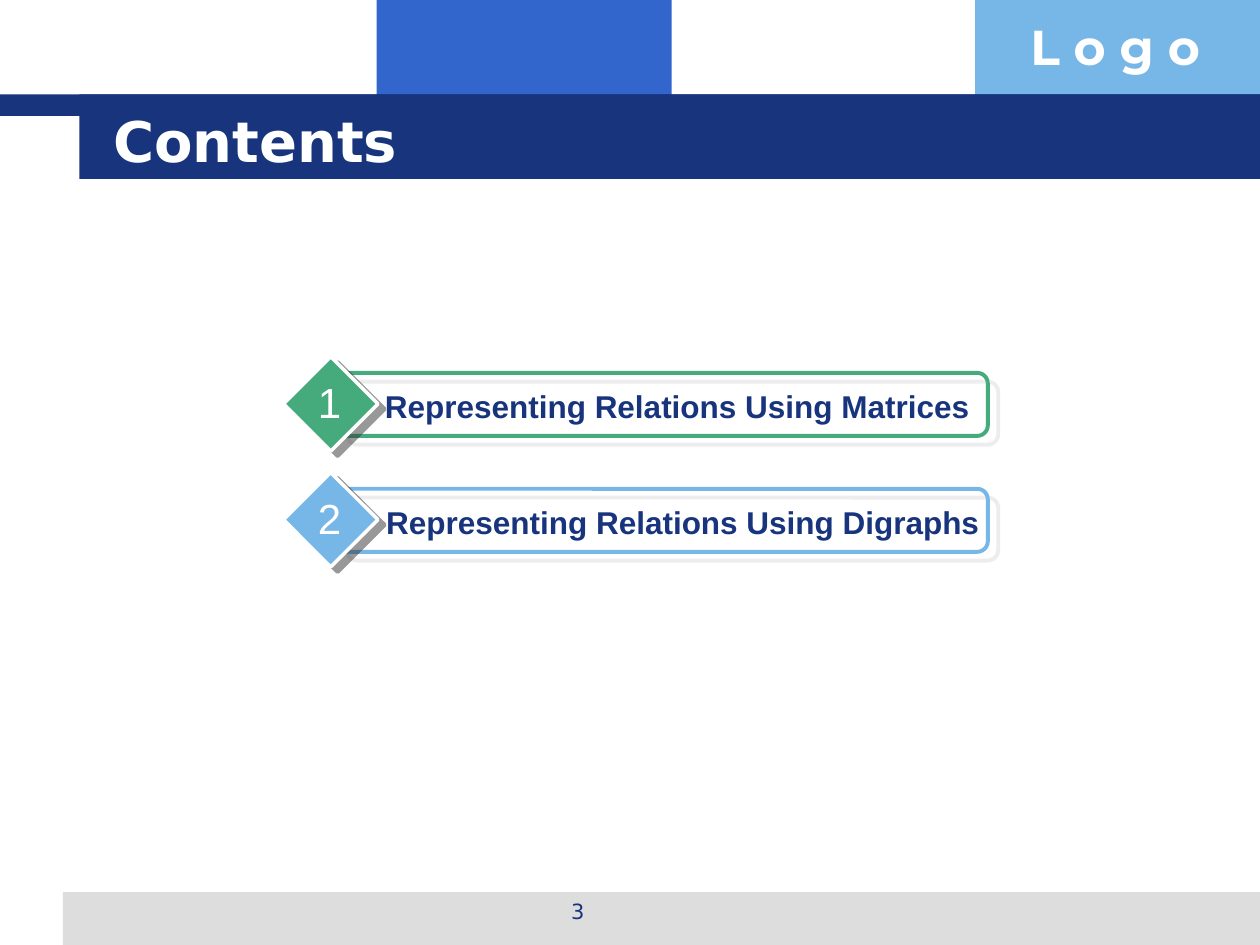
from pptx import Presentation
from pptx.dml.color import RGBColor
from pptx.enum import shapes, text
from pptx.oxml import parse_xml
from pptx.oxml import ns
from pptx.util import Inches, Pt

NAVY, BLUE, SKY = "17347D", "3366CC", "77B7E7"
GREEN, GREY, DARK, WHITE = "45AB7D", "DDDDDD", "333333", "FFFFFF"
ROW_TOP, ROW_PITCH = 2.83, 0.92
LABEL_RIGHT = 7.92

# color, left edge of the label, label
TOPICS = [
    (GREEN, 2.83, "Representing Relations Using Matrices"),
    (SKY, 2.92, "Representing Relations Using Digraphs"),
]


def rgb(color):
    return RGBColor.from_string(color)


def add_shape(slide, kind, box, fill=None, line=None, line_width=1):
    shape = slide.shapes.add_shape(kind, *map(Inches, box))
    shape.shadow.inherit = False
    if fill:
        shape.fill.solid()
        shape.fill.fore_color.rgb = rgb(fill)
    else:
        shape.fill.background()
    if line:
        shape.line.color.rgb = rgb(line)
        shape.line.width = Pt(line_width)
    else:
        shape.line.fill.background()
    return shape


def add_shadow(shape, color, distance, angle):
    """Give the shape a sharp, half transparent shadow."""
    effects = shape._element.spPr.find(ns.qn("a:effectLst"))
    effects.append(parse_xml(
        f'<a:outerShdw {ns.nsdecls("a")} dist="{Pt(distance)}" '
        f'dir="{angle * 60000}" algn="ctr" rotWithShape="0">'
        f'<a:srgbClr val="{color}"><a:alpha val="50000"/></a:srgbClr>'
        '</a:outerShdw>'))


def add_text(slide, box, words, size, font, color, bold=False,
             align=text.PP_ALIGN.LEFT, anchor=text.MSO_ANCHOR.TOP, wrap=True):
    frame = slide.shapes.add_textbox(*map(Inches, box)).text_frame
    frame.word_wrap = wrap
    frame.vertical_anchor = anchor
    paragraph = frame.paragraphs[0]
    paragraph.alignment = align
    run = paragraph.add_run()
    run.text = words
    run.font.size = Pt(size)
    run.font.name = font
    run.font.bold = bold
    run.font.color.rgb = rgb(color)


def add_topic(slide, number, top, color, label_left, label):
    center = text.PP_ALIGN.CENTER
    frame = add_shape(slide, shapes.MSO_SHAPE.ROUNDED_RECTANGLE,
                      (2.67, top + 0.13, 5.17, 0.5), line=color, line_width=2.25)
    add_shadow(frame, GREY, 7.8, 40)
    diamond = add_shape(slide, shapes.MSO_SHAPE.DIAMOND,
                        (2.25, top, 0.75, 0.75), color, WHITE, 2)
    add_shadow(diamond, DARK, 5, 37)
    add_text(slide, (label_left, top + 0.19, LABEL_RIGHT - label_left, 0.4),
             label, 18, "Arial", NAVY, bold=True, align=center)
    add_text(slide, (2.42, top + 0.11, 0.39, 0.5), str(number), 24, "Arial",
             WHITE, align=center, wrap=False)


def main():
    deck = Presentation()
    deck.slide_width, deck.slide_height = Inches(10), Inches(7.5)
    slide = deck.slides.add_slide(deck.slide_layouts[6])

    # Header blocks, footer band and title band
    for color, box in [
        (BLUE, (2.99, 0, 2.34, 0.92)),
        (SKY, (7.74, 0, 2.26, 0.92)),
        (GREY, (0.5, 7.08, 9.5, 0.42)),
        (NAVY, (0, 0.75, 10, 0.17)),
        (NAVY, (0.63, 0.75, 9.37, 0.67)),
    ]:
        add_shape(slide, shapes.MSO_SHAPE.RECTANGLE, box, color)

    # Header and footer text
    add_text(slide, (8.08, 0.08, 1.93, 0.57), "L o g o", 28, "Montserrat",
             WHITE, bold=True)
    add_text(slide, (3.42, 7.08, 2.33, 0.35), "3", 12, "DejaVu Sans", NAVY,
             align=text.PP_ALIGN.CENTER)
    add_text(slide, (0.8, 0.8, 8.53, 0.62), "Contents", 32, "DejaVu Sans",
             WHITE, bold=True, anchor=text.MSO_ANCHOR.MIDDLE)

    # Numbered topics
    for row, (color, label_left, label) in enumerate(TOPICS):
        add_topic(slide, row + 1, ROW_TOP + row * ROW_PITCH, color,
                  label_left, label)

    deck.save("out.pptx")


if __name__ == "__main__":
    main()
